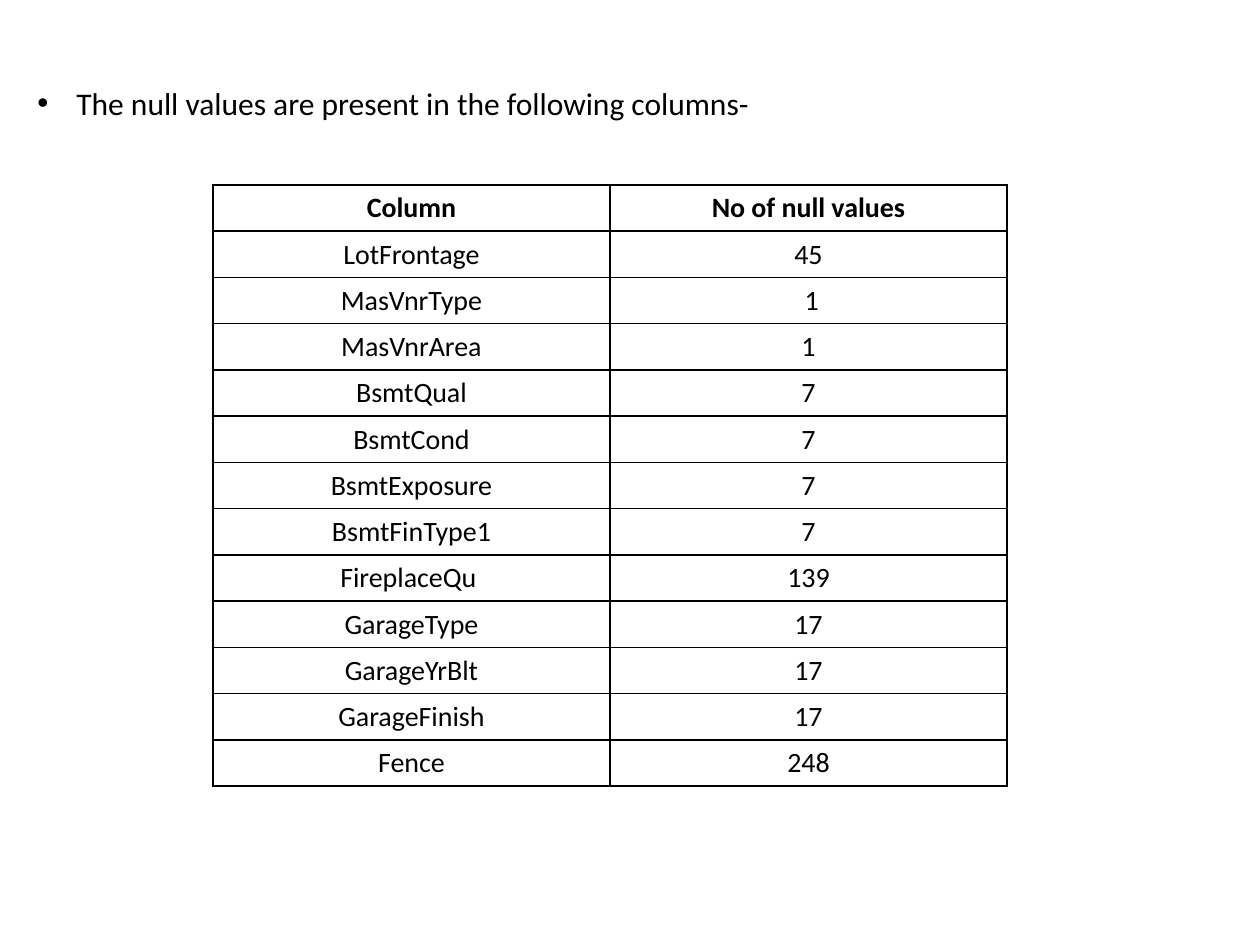
"""Builds the slide that lists null values per column."""
from lxml import etree
from pptx import Presentation
from pptx import util as u
from pptx.dml.color import RGBColor
from pptx.enum import text
from pptx.oxml import ns

BLACK = RGBColor(0, 0, 0)
WHITE = RGBColor(255, 255, 255)
FONT = "Calibri"
HEAD = ("Column", "No of null values")
NULLS = (
    ("LotFrontage", "45"),
    ("MasVnrType", " 1"),
    ("MasVnrArea", "1"),
    ("BsmtQual", "7"),
    ("BsmtCond", "7"),
    ("BsmtExposure", "7"),
    ("BsmtFinType1", "7"),
    ("FireplaceQu ", "139"),
    ("GarageType", "17"),
    ("GarageYrBlt", "17"),
    ("GarageFinish", "17"),
    ("Fence", "248"),
)


def px(n):
    return u.Emu(round(n * 914400 / 126))


def write(frame, words, size=16, bold=False, align=text.PP_ALIGN.LEFT):
    para = frame.paragraphs[0]
    para.alignment = align
    run = para.add_run()
    run.text = words
    font = run.font
    font.name, font.size, font.bold = FONT, u.Pt(size), bold
    font.color.rgb = BLACK
    return para


def bullet(para, indent):
    props = para._p.get_or_add_pPr()
    props.set("marL", str(px(indent)))
    props.set("indent", str(-px(indent)))
    etree.SubElement(props, ns.qn("a:buFont"), typeface="Arial")
    etree.SubElement(props, ns.qn("a:buChar"), char="•")


def border(cell, width=1):
    props = cell._tc.get_or_add_tcPr()
    for spot, side in enumerate(("lnL", "lnR", "lnT", "lnB")):
        line = etree.Element(ns.qn(f"a:{side}"), w=str(u.Pt(width)))
        fill = etree.SubElement(line, ns.qn("a:solidFill"))
        etree.SubElement(fill, ns.qn("a:srgbClr"), val=str(BLACK))
        props.insert(spot, line)


def intro(slide, words):
    box = slide.shapes.add_textbox(px(25), px(78), px(983), px(89))
    box.text_frame.word_wrap = True
    bullet(write(box.text_frame, words, size=18), 39)


def grid(slide, rows, left, top, wide, high):
    count, cols = len(rows), len(rows[0])
    table = slide.shapes.add_table(
        count, cols, px(left), px(top), px(wide * cols), px(high * count)
    ).table
    table.horz_banding = False
    for r, row in enumerate(rows):
        table.rows[r].height = px(high)
        for c, words in enumerate(row):
            cell = table.cell(r, c)
            cell.fill.solid()
            cell.fill.fore_color.rgb = WHITE
            border(cell)
            write(cell.text_frame, words, bold=r == 0, align=text.PP_ALIGN.CENTER)


def main():
    deck = Presentation()
    deck.slide_width, deck.slide_height = px(1260), px(945)
    slide = deck.slides.add_slide(deck.slide_layouts[6])
    intro(slide, "The null values are present in the following columns-")
    grid(slide, (HEAD, *NULLS), left=213, top=185, wide=397, high=46)
    deck.save("out.pptx")


if __name__ == "__main__":
    main()
